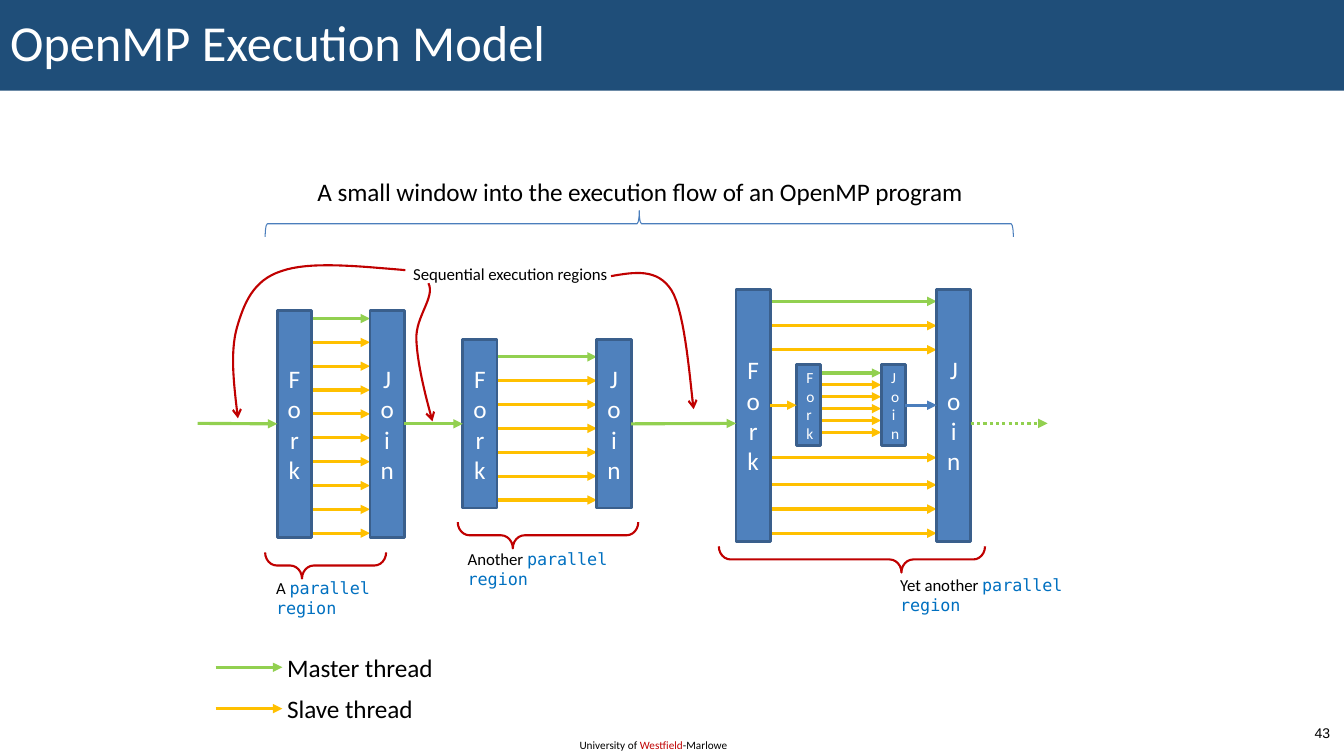
from dataclasses import dataclass

from lxml.etree import SubElement
from pptx import Presentation
from pptx.dml.color import RGBColor
from pptx.enum.dml import MSO_LINE
from pptx.enum.shapes import MSO_CONNECTOR, MSO_SHAPE
from pptx.enum.text import MSO_ANCHOR, PP_ALIGN
from pptx.oxml.ns import qn
from pptx.util import Inches, Pt


@dataclass(frozen=True)
class Theme:
    banner: RGBColor = RGBColor.from_string("1F4E79")
    white: RGBColor = RGBColor.from_string("FFFFFF")
    black: RGBColor = RGBColor.from_string("000000")
    master: RGBColor = RGBColor.from_string("92D050")
    slave: RGBColor = RGBColor.from_string("FFC000")
    post: RGBColor = RGBColor.from_string("4F81BD")
    post_edge: RGBColor = RGBColor.from_string("3A5F8C")
    blue: RGBColor = RGBColor.from_string("4B7EBC")
    red: RGBColor = RGBColor.from_string("C00000")
    code: RGBColor = RGBColor.from_string("0070C0")
    font: str = "Calibri"
    mono: str = "DejaVu Sans Mono"
    number_font: str = "Arial"
    title: int = 36
    body: int = 18
    note: int = 12
    nested: int = 11
    number: int = 10
    footer: int = 8
    tight: int = -5  # letter spacing in hundredths of a point


T = Theme()
LEFT, RIGHT = 1, 3  # connection sites of a rectangle


def add_run(p, text, size, color, font=T.font, spacing=0):
    r = p.add_run()
    r.text = text
    r.font.size, r.font.name = Pt(size), font
    r.font.color.rgb = color
    if spacing:
        r._r.get_or_add_rPr().set("spc", str(spacing))


def text_box(s, left, top, width, height, runs, wrap=False):
    """Add a text box; each run is (text, size, color, font, spacing)."""
    tb = s.shapes.add_textbox(Inches(left), Inches(top), Inches(width), Inches(height))
    tf = tb.text_frame
    tf.word_wrap = wrap
    for run in runs:
        add_run(tf.paragraphs[0], *run)
    return tf


def label(s, left, top, width, height, text, size):
    text_box(s, left, top, width, height, [(text, size, T.black, T.font, T.tight)])


def add_head(sp, kind):
    SubElement(sp.get_or_add_ln(), qn("a:tailEnd"), type=kind)


def arrow(s, x1, y1, x2, y2, color, begin=None, end=None, dash=None):
    """Draw an arrow, joined to the side middles of the posts begin and end."""
    c = s.shapes.add_connector(MSO_CONNECTOR.STRAIGHT, Inches(x1), Inches(y1), Inches(x2), Inches(y2))
    c.line.color.rgb, c.line.width = color, Pt(2.25)
    if dash:
        c.line.dash_style = dash
    add_head(c, "triangle")
    SubElement(c._element.spPr, qn("a:effectLst"))
    if begin:
        c.begin_connect(begin, RIGHT)
    if end:
        c.end_connect(end, LEFT)


def post(s, left, top, width, height, text, size, align):
    """Draw a fork or join bar with its letters stacked."""
    sp = s.shapes.add_shape(MSO_SHAPE.RECTANGLE, Inches(left), Inches(top), Inches(width), Inches(height))
    sp.shadow.inherit = False
    sp.fill.solid()
    sp.fill.fore_color.rgb = T.post
    sp.line.color.rgb, sp.line.width = T.post_edge, Pt(2)
    tf = sp.text_frame
    tf.word_wrap = True
    tf.vertical_anchor = MSO_ANCHOR.MIDDLE
    p = tf.paragraphs[0]
    p.alignment = align
    for i, part in enumerate(text.split("\n")):
        if i:
            p.add_line_break()
        add_run(p, part, size, T.white)
    return sp


def region(s, left, top, width, height, threads, fork="F\no\nr\nk", join="J\no\ni\nn",
           bar=0.34, size=T.body, align=PP_ALIGN.CENTER):
    """Draw a parallel region, its threads at offsets from the top, and return fork and join."""
    right = left + width - bar
    for i, offset in enumerate(threads):
        y = top + offset
        arrow(s, left + bar, y, right, y, T.slave if i else T.master)
    return (post(s, left, top, bar, height, fork, size, align),
            post(s, right, top, bar, height, join, size, align))


def evenly(first, last, count):
    return [first + i * (last - first) / (count - 1) for i in range(count)]


def brace(s, left, top, width, rotation, color, weight, adjust=()):
    """Lay a brace flat in the box; rotation 90 points its tip up, 270 down."""
    depth = 0.26
    sp = s.shapes.add_shape(MSO_SHAPE.LEFT_BRACE, Inches(left + (width - depth) / 2),
                            Inches(top + (depth - width) / 2), Inches(depth), Inches(width))
    sp.shadow.inherit = False
    sp.rotation = rotation
    sp.fill.background()
    sp.line.color.rgb, sp.line.width = color, Pt(weight)
    for i, value in enumerate(adjust):
        sp.adjustments[i] = value


def region_caption(s, left, top, width, words, brace_left, brace_top, brace_width, tip):
    brace(s, brace_left, brace_top, brace_width, 270, T.red, 1.5, (0.449, tip))
    text_box(s, left, top, width, 0.3,
             [(words, T.note, T.black, T.font, T.tight),
              ("parallel region", T.note, T.code, T.mono, T.tight)], wrap=True)


def curved_arrow(s, start, *curves, steps=16):
    """Draw an arrow through cubic curves, each given as two controls and an end."""
    points, p0 = [], start
    for p1, p2, p3 in curves:
        for i in range(1, steps + 1):
            t = i / steps
            u = 1 - t
            points.append(tuple(
                Inches(u**3 * a + 3 * u * u * t * b + 3 * u * t * t * c + t**3 * d)
                for a, b, c, d in zip(p0, p1, p2, p3)))
        p0 = p3
    builder = s.shapes.build_freeform(Inches(start[0]), Inches(start[1]))
    builder.add_line_segments(points, close=False)
    sp = builder.convert_to_shape()
    sp.shadow.inherit = False
    sp.fill.background()
    sp.line.color.rgb, sp.line.width = T.red, Pt(1.5)
    add_head(sp, "arrow")


def title_banner(s, width, height):
    sp = s.shapes.title
    sp.left, sp.top, sp.width, sp.height = 0, 0, Inches(width), Inches(height)
    sp.fill.solid()
    sp.fill.fore_color.rgb = T.banner
    sp.text_frame.vertical_anchor = MSO_ANCHOR.MIDDLE
    p = sp.text_frame.paragraphs[0]
    p.alignment, p.line_spacing = PP_ALIGN.LEFT, 0.9
    add_run(p, "OpenMP Execution Model", T.title, T.white)


def execution_flow(s, axis):
    """Draw the three parallel regions, and the master thread along the axis."""
    fork1, join1 = region(s, 2.75, 3.08, 1.26, 2.25, evenly(0.08, 2.21, 10))
    fork2, join2 = region(s, 4.59, 3.37, 1.67, 1.67, evenly(0.17, 1.59, 7))
    outer = evenly(0.12, 0.6, 3) + [1.67] + evenly(1.94, 2.42, 3)
    region(s, 7.3, 2.87, 2.33, 2.5, outer, join="Join")
    fork4, join4 = region(s, 7.9, 3.62, 1.08, 0.8, evenly(0.08, 0.67, 6),
                          "Fork", "Join", 0.24, T.nested, PP_ALIGN.RIGHT)
    arrow(s, 7.64, 4.02, 7.9, 4.02, T.slave, end=fork4)
    arrow(s, 8.98, 4.02, 9.29, 4.02, T.blue, begin=join4)
    arrow(s, 1.96, axis, 2.75, axis, T.master, end=fork1)
    arrow(s, 4.01, axis, 4.59, axis, T.master, begin=join1, end=fork2)
    arrow(s, 6.26, axis, 7.3, axis, T.master, begin=join2)
    arrow(s, 9.63, axis, 10.39, axis, T.master, dash=MSO_LINE.ROUND_DOT)


def annotations(s):
    label(s, 3.05, 1.7, 6.68, 0.4, "A small window into the execution flow of an OpenMP program", T.body)
    brace(s, 2.63, 2.09, 7.42, 90, T.blue, 0.75)
    region_caption(s, 2.64, 5.68, 1.72, "A ", 2.63, 5.48, 1.2, 0.305)
    region_caption(s, 4.54, 5.39, 2.18, "Another ", 4.54, 5.18, 1.79, 0.305)
    region_caption(s, 8.83, 5.65, 2.42, "Yet another ", 7.13, 5.42, 2.64, 0.686)
    label(s, 4, 2.57, 2.15, 0.3, "Sequential execution regions", T.note)
    curved_arrow(s, (4.02, 2.68), ((3.54, 2.64), (3.07, 2.59), (2.79, 2.69)),
                 ((2.51, 2.78), (2.42, 3.01), (2.35, 3.25)), ((2.28, 3.5), (2.32, 3.82), (2.36, 4.15)))
    curved_arrow(s, (4.25, 2.81), ((4.32, 2.95), (4.12, 3.14), (4.13, 3.37)),
                 ((4.14, 3.6), (4.21, 3.89), (4.29, 4.18)))
    curved_arrow(s, (6.06, 2.74), ((6.29, 2.7), (6.52, 2.66), (6.66, 2.88)),
                 ((6.8, 3.1), (6.85, 3.86), (6.88, 4.06)))


def legend(s, left, top):
    for i, (name, color, width) in enumerate([("Master thread", T.master, 1.66),
                                              ("Slave thread", T.slave, 1.46)]):
        y = top + i * 0.41
        arrow(s, left, y, left + 0.66, y, color)
        label(s, left + 0.61, y - 0.2, width, 0.4, name, T.body)


def footer(s):
    text_box(s, 5.65, 7.28, 2, 0.24, [("University of ", T.footer, T.black),
                                      ("Westfield", T.footer, T.red),
                                      ("-Marlowe", T.footer, T.black)], wrap=True)
    tf = text_box(s, 12.53, 7.13, 0.76, 0.29, [("43", T.number, T.black, T.number_font)], wrap=True)
    tf.vertical_anchor = MSO_ANCHOR.MIDDLE
    tf.paragraphs[0].alignment = PP_ALIGN.RIGHT


def main():
    prs = Presentation()
    prs.slide_width, prs.slide_height = Inches(13.33), Inches(7.5)
    s = prs.slides.add_slide(prs.slide_layouts[5])
    title_banner(s, 13.33, 0.9)
    execution_flow(s, 4.2)
    annotations(s)
    legend(s, 2.14, 6.62)
    footer(s)
    prs.save("out.pptx")


if __name__ == "__main__":
    main()
